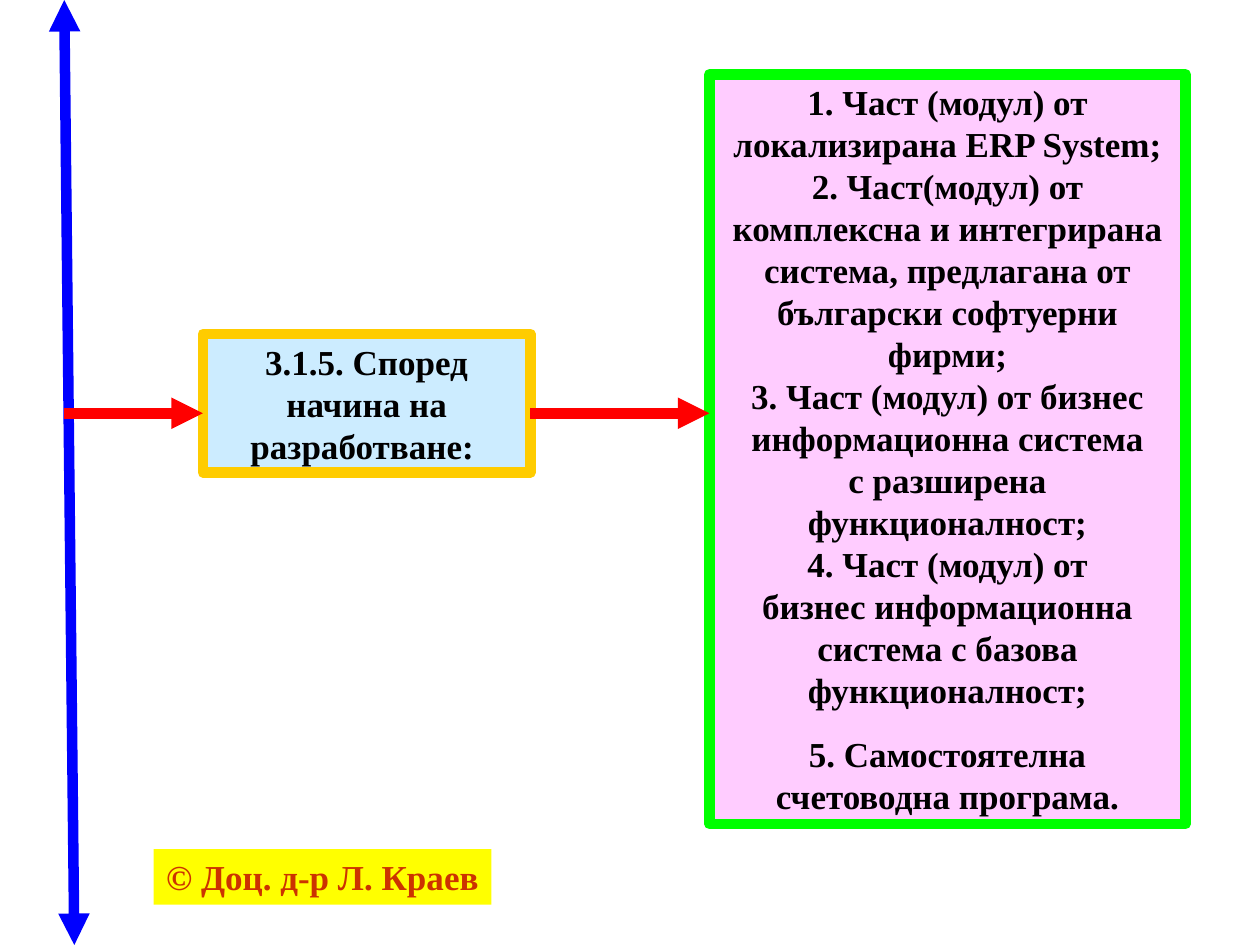
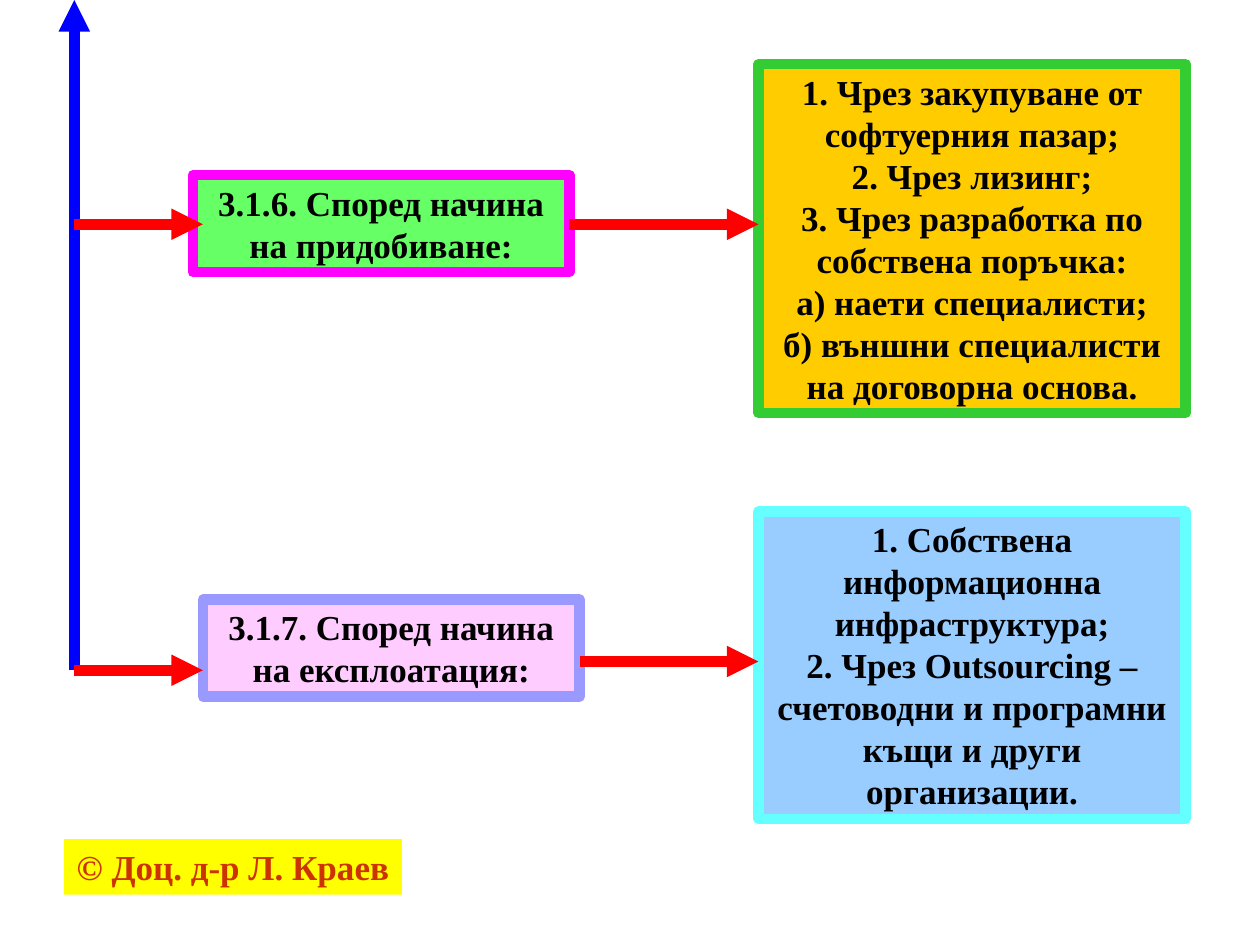
"""Build two slides that branch classification criteria off a vertical axis."""
from lxml import etree
from pptx import Presentation
from pptx.dml.color import RGBColor
from pptx.enum.shapes import MSO_CONNECTOR, MSO_SHAPE
from pptx.enum.text import MSO_ANCHOR, MSO_AUTO_SIZE, PP_ALIGN
from pptx.oxml.ns import qn
from pptx.util import Inches, Pt

RECTANGLE, STRAIGHT = MSO_SHAPE.RECTANGLE, MSO_CONNECTOR.STRAIGHT
CENTER, LEFT, TOP = PP_ALIGN.CENTER, PP_ALIGN.LEFT, MSO_ANCHOR.TOP
FIT_SHAPE = MSO_AUTO_SIZE.SHAPE_TO_FIT_TEXT

FONT, TEXT_SIZE, LINE_WIDTH = "Times New Roman", 20, 6
BLACK, AXIS_BLUE, ARROW_RED = "000000", "0000FF", "FF0000"
CREDIT, CREDIT_FILL, CREDIT_TEXT = "© Доц. д-р Л. Краев", "FFFF00", "CC3300"
CREDIT_SIZE = (2.68, 0.44)
CRITERION_LEFT = 1.61

SLIDES = [
    {
        "credit": (1.22, 6.74),
        "axis": ((0.51, 0), (0.59, 7.5)),
        "axis_ends": ("headEnd", "tailEnd"),
        "branches": [
            {
                "criterion": ["3.1.5. Според\nначина на\nразработване: "],
                "criterion_box": (1.61, 2.65, 2.6, 1.1),
                "criterion_colors": ("CCECFF", "FFCC00"),
                "kinds": [
                    "1. Част (модул) от\nлокализирана ERP System;\n"
                    "2. Част(модул) от комплексна и интегрирана\n"
                    "система, предлагана от\nбългарски софтуерни фирми;\n"
                    "3. Част (модул) от бизнес\nинформационна система\n"
                    "с разширена функционалност;\n"
                    "4. Част (модул) от\nбизнес информационна\n"
                    "система с базова\nфункционалност;",
                    "5. Самостоятелна\nсчетоводна програма.",
                ],
                "kinds_box": (5.63, 0.59, 3.78, 5.95),
                "kinds_colors": ("FFCCFF", "00FF00"),
                "arrow_levels": (3.28, 3.28),
            },
        ],
    },
    {
        "credit": (0.51, 6.66),
        "axis": ((0.59, 0), (0.59, 5.32)),
        "axis_ends": ("headEnd",),
        "branches": [
            {
                "criterion": ["3.1.6. Според начина\nна придобиване:"],
                "criterion_box": (1.53, 1.39, 2.99, 0.77),
                "criterion_colors": ("66FF66", "FF00FF"),
                "kinds": [
                    "1. Чрез закупуване от\nсофтуерния пазар;\n"
                    "2. Чрез лизинг;\n"
                    "3. Чрез разработка по\nсобствена поръчка:\n"
                    "а) наети специалисти;\n"
                    "б) външни специалисти\nна договорна основа.",
                ],
                "kinds_box": (6.02, 0.51, 3.39, 2.77),
                "kinds_colors": ("FFCC00", "33CC33"),
                "arrow_levels": (1.78, 1.78),
            },
            {
                "criterion": ["3.1.7. Според начина\nна експлоатация:"],
                "criterion_box": (1.61, 4.76, 2.99, 0.77),
                "criterion_colors": ("FFCCFF", "9999FF"),
                "kinds": [
                    "1. Собствена\nинформационна\nинфраструктура;\n"
                    "2. Чрез Outsourcing –\nсчетоводни и програмни\n"
                    "къщи и други\nорганизации.",
                ],
                "kinds_box": (6.02, 4.06, 3.39, 2.44),
                "kinds_colors": ("99CCFF", "66FFFF"),
                "arrow_levels": (5.32, 5.25),
            },
        ],
    },
]


def paint(color_format, color):
    color_format.rgb = RGBColor.from_string(color)


def add_box(slide, paragraphs, box, fill, border=None, color=BLACK, align=CENTER, wrap=True):
    shape = slide.shapes.add_shape(RECTANGLE, *map(Inches, box))
    shape.shadow.inherit = False
    shape.fill.solid()
    paint(shape.fill.fore_color, fill)
    if border:
        paint(shape.line.color, border)
        shape.line.width = Pt(LINE_WIDTH)
    else:
        shape.line.fill.background()
    frame = shape.text_frame
    frame.word_wrap = wrap
    frame.auto_size = FIT_SHAPE
    frame.vertical_anchor = TOP
    for index, text in enumerate(paragraphs):
        paragraph = frame.add_paragraph() if index else frame.paragraphs[0]
        paragraph.text = text
        paragraph.alignment = align
        if index:
            paragraph.space_before = Pt(12.5)
        font = paragraph.font
        font.name, font.size, font.bold = FONT, Pt(TEXT_SIZE), True
        paint(font.color, color)


def add_arrow(slide, start, end, color, ends=("tailEnd",)):
    arrow = slide.shapes.add_connector(STRAIGHT, *map(Inches, (*start, *end)))
    paint(arrow.line.color, color)
    arrow.line.width = Pt(LINE_WIDTH)
    outline = arrow.line._get_or_add_ln()
    for tip in ends:
        etree.SubElement(outline, qn(f"a:{tip}"), type="triangle")
    etree.SubElement(outline.getparent(), qn("a:effectLst"))


def build_slide(deck, content):
    slide = deck.slides.add_slide(deck.slide_layouts[6])
    add_box(slide, [CREDIT], content["credit"] + CREDIT_SIZE, CREDIT_FILL,
            color=CREDIT_TEXT, align=LEFT, wrap=False)
    axis_start, axis_end = content["axis"]
    add_arrow(slide, axis_start, axis_end, AXIS_BLUE, content["axis_ends"])
    for branch in content["branches"]:
        for part in ("criterion", "kinds"):
            add_box(slide, branch[part], branch[f"{part}_box"], *branch[f"{part}_colors"])
    for branch in content["branches"]:
        left, _, width, _ = branch["criterion_box"]
        spans = ((axis_start[0], CRITERION_LEFT), (left + width, branch["kinds_box"][0]))
        for (start, end), level in zip(spans, branch["arrow_levels"]):
            add_arrow(slide, (start, level), (end, level), ARROW_RED)


def main():
    deck = Presentation()
    deck.slide_width, deck.slide_height = Inches(10), Inches(7.5)
    for content in SLIDES:
        build_slide(deck, content)
    deck.save("out.pptx")


if __name__ == "__main__":
    main()
